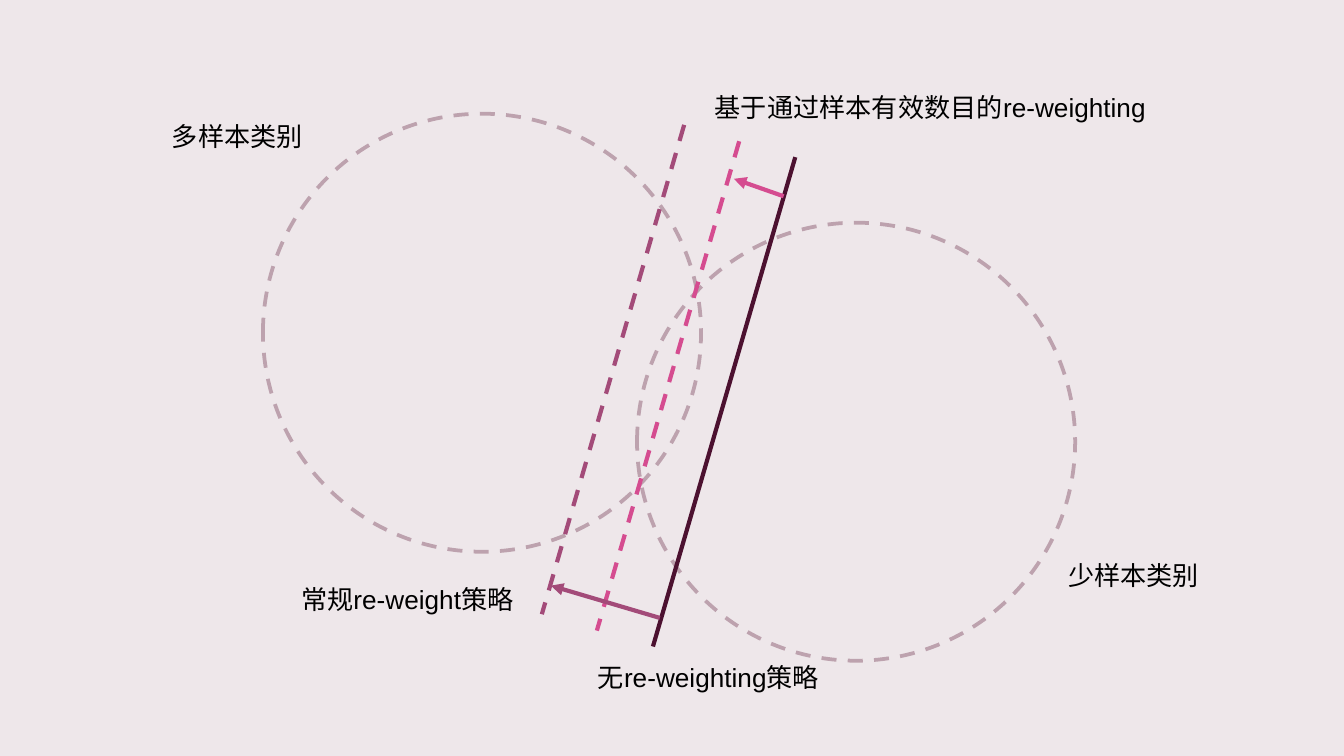
import pptx
import pptx.dml.color
import pptx.enum.dml
import pptx.enum.shapes
import pptx.enum.text
import pptx.oxml.ns
import pptx.util
from lxml import etree
from pptx.util import Cm

ROSE, PINK, PLUM, DARK = "BDA2AE", "D54C90", "A34B79", "4C1130"
DASH = pptx.enum.dml.MSO_LINE.DASH


def color(value):
    return pptx.dml.color.RGBColor.from_string(value)


def add_line(left, top, width, height, value):
    connector = slide.shapes.add_connector(
        pptx.enum.shapes.MSO_CONNECTOR.STRAIGHT,
        Cm(left), Cm(top), Cm(left + width), Cm(top + height))
    connector.line.color.rgb = color(value)
    connector.line.width = pptx.util.Pt(2.25)
    properties = connector._element.spPr
    etree.SubElement(properties, pptx.oxml.ns.qn("a:effectLst"))
    return connector


presentation = pptx.Presentation()
presentation.slide_width = Cm(25.4)
presentation.slide_height = Cm(14.29)
slide = presentation.slides.add_slide(presentation.slide_layouts[6])
slide.background.fill.solid()
slide.background.fill.fore_color.rgb = color("EEE7EA")

diameter = Cm(8.28)
for left, top in [(4.97, 2.15), (12.04, 4.21)]:
    circle = slide.shapes.add_shape(
        pptx.enum.shapes.MSO_SHAPE.OVAL, Cm(left), Cm(top), diameter, diameter)
    circle.shadow.inherit = False
    circle.fill.background()
    circle.line.color.rgb = color(ROSE)
    circle.line.width = pptx.util.Pt(2)
    circle.line.dash_style = DASH

boundaries = [(13.97, 2.67, PINK, True), (15.03, 2.97, DARK, False), (12.93, 2.36, PLUM, True)]
for left, top, value, dashed in boundaries:
    boundary = add_line(left, top, -2.69, 9.25, value)
    if dashed:
        boundary.line.dash_style = DASH

shifts = [(14.81, 3.71, -0.94, -0.33, PINK), (12.47, 11.68, -2.06, -0.61, PLUM)]
for left, top, width, height, value in shifts:
    arrow = add_line(left, top, width, height, value)
    etree.SubElement(arrow.line._get_or_add_ln(), pptx.oxml.ns.qn("a:tailEnd"), type="triangle")

labels = [
    ("少样本类别", 19.94, 10.44, 3),
    ("多样本类别", 3, 2.15, 3),
    ("无re-weighting策略", 11.05, 12.37, 4.72),
    ("常规re-weight策略", 5.44, 10.9, 4.55),
    ("基于通过样本有效数目的re-weighting", 13.26, 1.6, 8.71),
]
for text, left, top, width in labels:
    label = slide.shapes.add_textbox(Cm(left), Cm(top), Cm(width), Cm(0.86))
    label.text_frame.word_wrap = True
    label.text_frame.auto_size = pptx.enum.text.MSO_AUTO_SIZE.SHAPE_TO_FIT_TEXT
    label.text_frame.text = text
    font = label.text_frame.paragraphs[0].runs[0].font
    font.name = "Arial"
    font.size = pptx.util.Pt(14)
    font.color.rgb = color("000000")

presentation.save("out.pptx")
